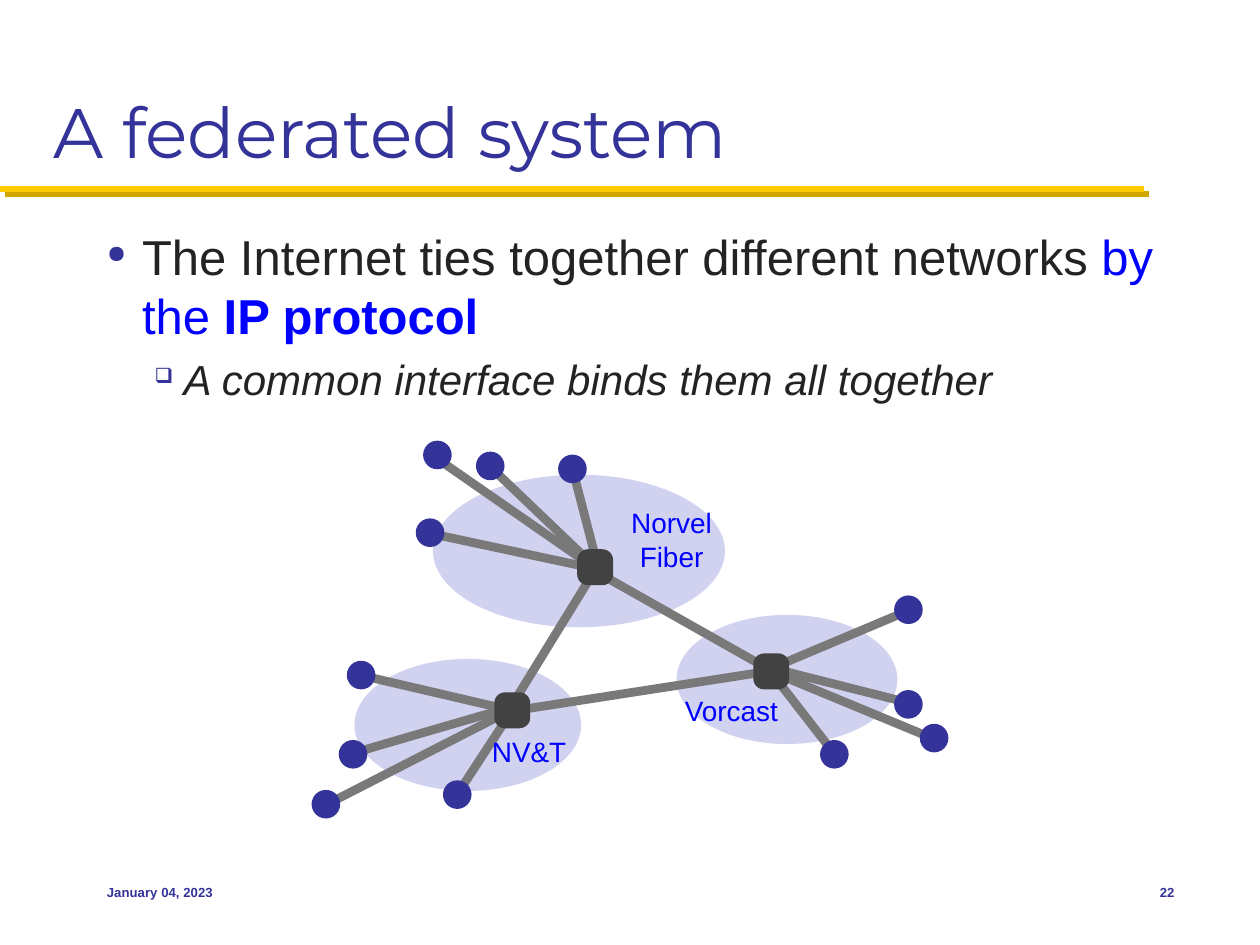
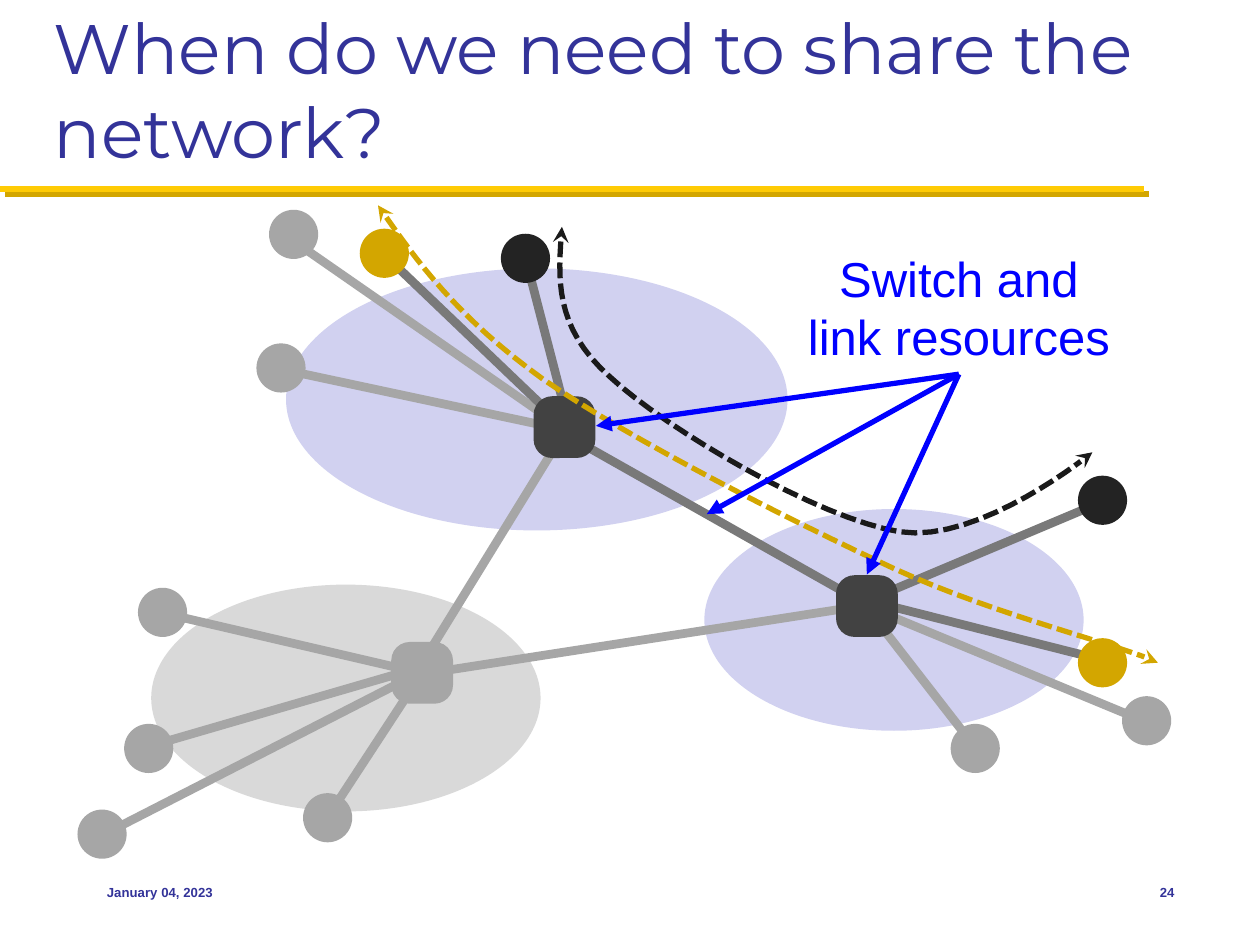
from lxml.etree import SubElement
from pptx import Presentation
from pptx.dml.color import RGBColor
from pptx.enum.dml import MSO_LINE
from pptx.enum.shapes import MSO_CONNECTOR, MSO_SHAPE
from pptx.enum.text import MSO_ANCHOR, PP_ALIGN
from pptx.oxml.ns import qn
from pptx.util import Pt

PX = 9144
INDIGO, BLUE, INK = "333399", "0000FF", "232323"
YELLOW, GOLD, GREY, STEEL = "FFCB05", "D3A600", "A6A6A6", "797979"
LAVENDER, PALE, CHARCOAL, DASH_INK = "D1D1F0", "D9D9D9", "424242", "1A1A1A"

NET_W = 869
NODE_SIZE, ROUTER_SIZE = 39, 49
CLOUDS = [
    ((498, 237, 301, 176), "live"),
    ((166, 46, 398, 208), "live"),
    ((59, 297, 309, 180), "idle"),
]
ROUTERS = [((387, 172), "live"), ((274, 367), "idle"), ((627, 314), "live")]
TRUNKS = [
    ((381, 174), (627, 313), "live"),
    ((388, 174), (273, 361), "idle"),
    ((629, 313), (274, 368), "idle"),
]
HOSTS = [
    ((356, 38), (358, 45), (392, 176), "black"),
    ((849, 405), (851, 407), (624, 313), "idle"),
    ((20, 495), (16, 498), (266, 370), "idle"),
    ((162, 125), (162, 126), (382, 173), "idle"),
    ((68, 319), (66, 319), (268, 366), "idle"),
    ((199, 482), (202, 477), (272, 370), "idle"),
    ((172, 19), (173, 25), (379, 168), "idle"),
    ((244, 34), (245, 36), (382, 167), "gold"),
    ((57, 427), (55, 426), (268, 364), "idle"),
    ((814, 230), (812, 232), (622, 312), "black"),
    ((713, 427), (712, 425), (629, 318), "idle"),
    ((814, 359), (811, 356), (629, 310), "gold"),
]
UNIFORM = {
    "cloud": {"idle": LAVENDER, "live": LAVENDER},
    "router": {"idle": CHARCOAL, "live": CHARCOAL},
    "link": {"idle": STEEL, "live": STEEL},
    "host": {"idle": INDIGO, "black": INDIGO, "gold": INDIGO},
}
SHARED = {
    "cloud": {"idle": PALE, "live": LAVENDER},
    "router": {"idle": GREY, "live": CHARCOAL},
    "link": {"idle": GREY, "live": STEEL},
    "host": {"idle": GREY, "black": INK, "gold": GOLD},
}
FLOWS = [
    (DASH_INK, [(385, 13), (382, 53), (378, 92), (423, 132), (467, 173),
                (589, 245), (653, 255), (717, 265), (806, 192), (806, 192)]),
    (GOLD, [(239, -4), (270, 41), (302, 85), (370, 134), (439, 182),
            (568, 247), (650, 285), (731, 322), (832, 346), (858, 359)]),
]


def rgb(color):
    return RGBColor.from_string(color)


def emu(*lengths):
    return [round(v * PX) for v in lengths]


def write(p, text, size, color, font="Arial", bold=False, italic=False):
    r = p.add_run()
    r.text = text
    f = r.font
    f.name, f.size, f.bold, f.italic = font, Pt(size), bold, italic
    f.color.rgb = rgb(color)


def add_frame(s, box, inset=(10, 5), anchor=MSO_ANCHOR.TOP, wrap=True):
    tf = s.shapes.add_textbox(*emu(*box)).text_frame
    tf.word_wrap, tf.vertical_anchor = wrap, anchor
    tf.margin_left = tf.margin_right = inset[0] * PX
    tf.margin_top = tf.margin_bottom = inset[1] * PX
    return tf


def add_text(s, box, text, size, color, align=PP_ALIGN.LEFT, font="Arial",
             bold=False, **frame):
    tf = add_frame(s, box, **frame)
    for i, line in enumerate(text.split("\n")):
        p = tf.paragraphs[0] if i == 0 else tf.add_paragraph()
        p.alignment = align
        write(p, line, size, color, font, bold)


def add_bullet(p, char, left, hang):
    pPr = p._p.get_or_add_pPr()
    pPr.set("marL", str(left * PX))
    pPr.set("indent", str(-hang * PX))
    SubElement(SubElement(pPr, qn("a:buClr")), qn("a:srgbClr")).set("val", INDIGO)
    SubElement(pPr, qn("a:buSzPct")).set("val", "50000")
    SubElement(pPr, qn("a:buChar")).set("char", char)


def add_arrowheads(sp, **ends):
    ln = sp._element.spPr.find(qn("a:ln"))
    for tag, kind in ends.items():
        SubElement(ln, qn(f"a:{tag}")).set("type", kind)


def add_line(s, start, end, color, width, **ends):
    c = s.shapes.add_connector(MSO_CONNECTOR.STRAIGHT, *emu(*start, *end))
    c.line.color.rgb, c.line.width = rgb(color), Pt(width)
    add_arrowheads(c, **ends)
    SubElement(c._element.spPr, qn("a:effectLst"))


def add_solid(s, kind, box, color):
    sp = s.shapes.add_shape(kind, *emu(*box))
    sp.shadow.inherit = False
    sp.fill.solid()
    sp.fill.fore_color.rgb = rgb(color)
    sp.line.fill.background()
    return sp


def bezier(points, steps=16):
    yield points[0]
    for i in range(0, len(points) - 1, 3):
        for k in range(1, steps + 1):
            t = k / steps
            weights = ((1 - t) ** 3, 3 * t * (1 - t) ** 2, 3 * t * t * (1 - t), t ** 3)
            yield tuple(sum(w * pt[axis] for w, pt in zip(weights, points[i:i + 4]))
                        for axis in (0, 1))


def add_network(s, box, palette):
    left, top, width = box
    k = width / NET_W

    def at(pt):
        return left + pt[0] * k, top + pt[1] * k

    def centred(pt, size):
        x, y = at(pt)
        return x - size * k / 2, y - size * k / 2, size * k, size * k

    for (x, y, w, h), state in CLOUDS:
        add_solid(s, MSO_SHAPE.OVAL, (*at((x, y)), w * k, h * k), palette["cloud"][state])
    for _, outer, inner, state in HOSTS:
        use = "idle" if state == "idle" else "live"
        add_line(s, at(outer), at(inner), palette["link"][use], 5)
    for start, end, state in TRUNKS:
        add_line(s, at(start), at(end), palette["link"][state], 5)
    for centre, _, _, state in HOSTS:
        add_solid(s, MSO_SHAPE.OVAL, centred(centre, NODE_SIZE), palette["host"][state])
    for centre, state in ROUTERS:
        sp = add_solid(s, MSO_SHAPE.ROUNDED_RECTANGLE, centred(centre, ROUTER_SIZE),
                       palette["router"][state])
        sp.adjustments[0] = 0.3


def add_labels(s, box):
    left, top = box[:2]
    for x, y, w, h, name in [(242, 47, 88, 62, "Norvel\nFiber"),
                             (138, 229, 70, 35, "NV&T"),
                             (274, 196, 119, 35, "Vorcast")]:
        add_text(s, (left + x, top + y, w, h), name, 16, BLUE, PP_ALIGN.CENTER,
                 inset=(4, 4), anchor=MSO_ANCHOR.MIDDLE)


def add_flows(s, box):
    left, top = box[:2]
    for color, controls in FLOWS:
        pts = [emu(left + x, top + y) for x, y in bezier(controls)]
        fb = s.shapes.build_freeform(*pts[0], scale=1.0)
        fb.add_line_segments(pts[1:], close=False)
        sp = fb.convert_to_shape()
        sp.shadow.inherit = False
        sp.fill.background()
        sp.line.color.rgb, sp.line.width = rgb(color), Pt(3)
        sp.line.dash_style = MSO_LINE.SQUARE_DOT
        add_arrowheads(sp, headEnd="stealth", tailEnd="stealth")


def add_callout(s, box):
    left, top = box[:2]
    add_text(s, (left + 569, top + 25, 262, 104), "Switch and link resources",
             28, BLUE, PP_ALIGN.CENTER)
    for x, y in [(412, 171), (627, 289), (500, 241)]:
        add_line(s, (left + 700, top + 130), (left + x, top + y), BLUE, 3,
                 tailEnd="triangle")


def add_body(s, box):
    tf = add_frame(s, box)
    p = tf.paragraphs[0]
    add_bullet(p, "●", 28, 28)
    write(p, "The Internet ties together different networks ", 28, INK)
    write(p, "by the ", 28, BLUE)
    write(p, "IP protocol", 28, BLUE, bold=True)
    p = tf.add_paragraph()
    p.level = 1
    add_bullet(p, "❑", 61, 23)
    p.space_before = Pt(5)
    write(p, "A common interface binds them all together", 24, INK, italic=True)


def add_base(prs, title, number):
    s = prs.slides.add_slide(prs.slide_layouts[6])
    for shift, color in ((4, GOLD), (0, YELLOW)):
        add_line(s, (shift, 150 + shift), (908 + shift, 150 + shift), color, 3.5)
    add_text(s, (33, 17, 933, 125), title, 40, INDIGO, font="Montserrat",
             anchor=MSO_ANCHOR.BOTTOM)
    for box, text, align in [((75, 683, 208, 50), "January 04, 2023", PP_ALIGN.LEFT),
                             ((875, 683, 67, 50), number, PP_ALIGN.RIGHT)]:
        add_text(s, box, text, 7.5, INDIGO, align, bold=True, anchor=MSO_ANCHOR.MIDDLE)
    return s


def federated_slide(prs):
    s = add_base(prs, "A federated system", "22")
    add_body(s, (75, 175, 867, 483))
    box = (247, 350, 506)
    add_network(s, box, UNIFORM)
    add_labels(s, box)


def sharing_slide(prs):
    s = add_base(prs, "When do we need to share the network?", "24")
    box = (61, 167, NET_W)
    add_network(s, box, SHARED)
    add_flows(s, box)
    add_callout(s, box)


def main():
    prs = Presentation()
    prs.slide_width, prs.slide_height = emu(1000, 750)
    federated_slide(prs)
    sharing_slide(prs)
    prs.save("out.pptx")


if __name__ == "__main__":
    main()
